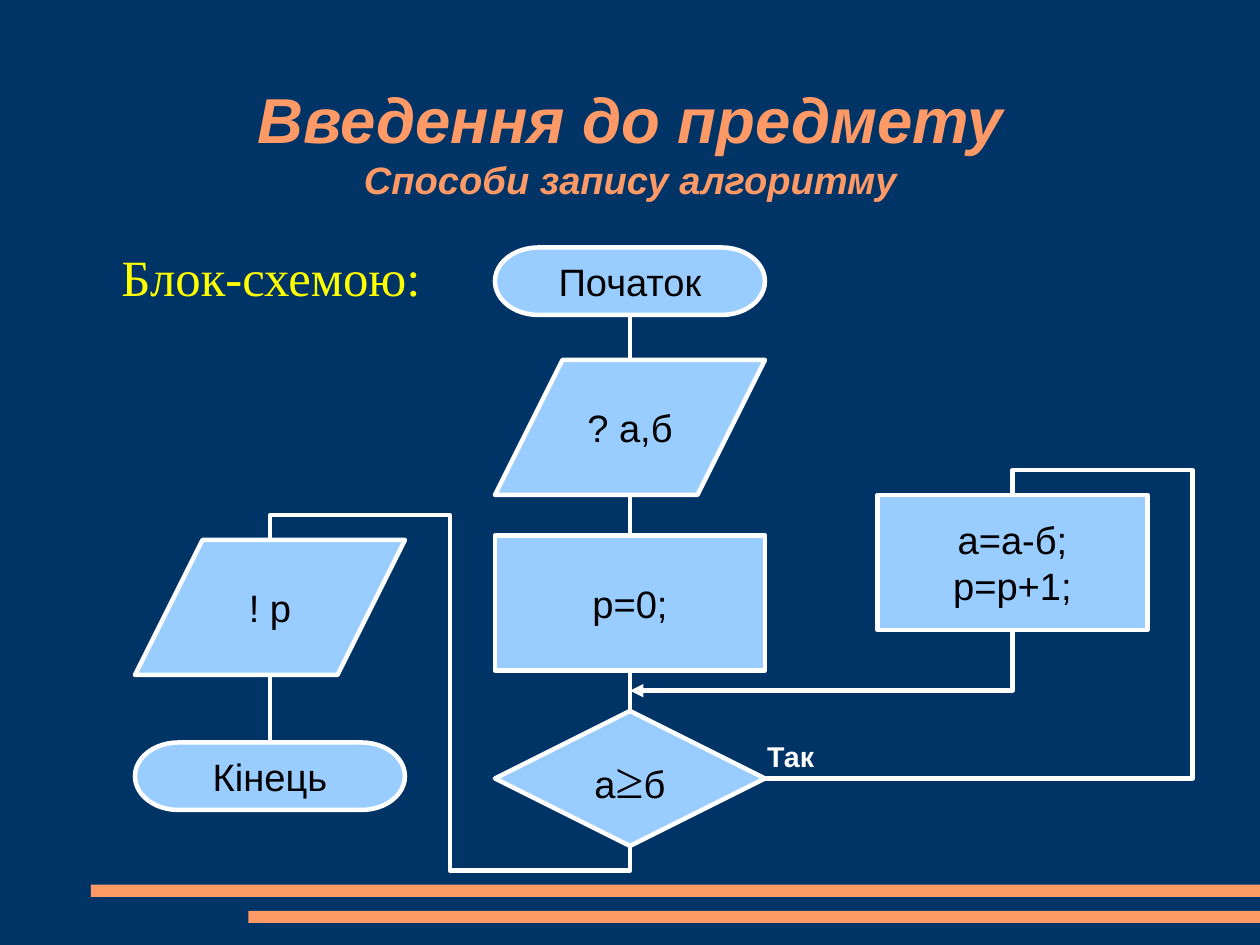
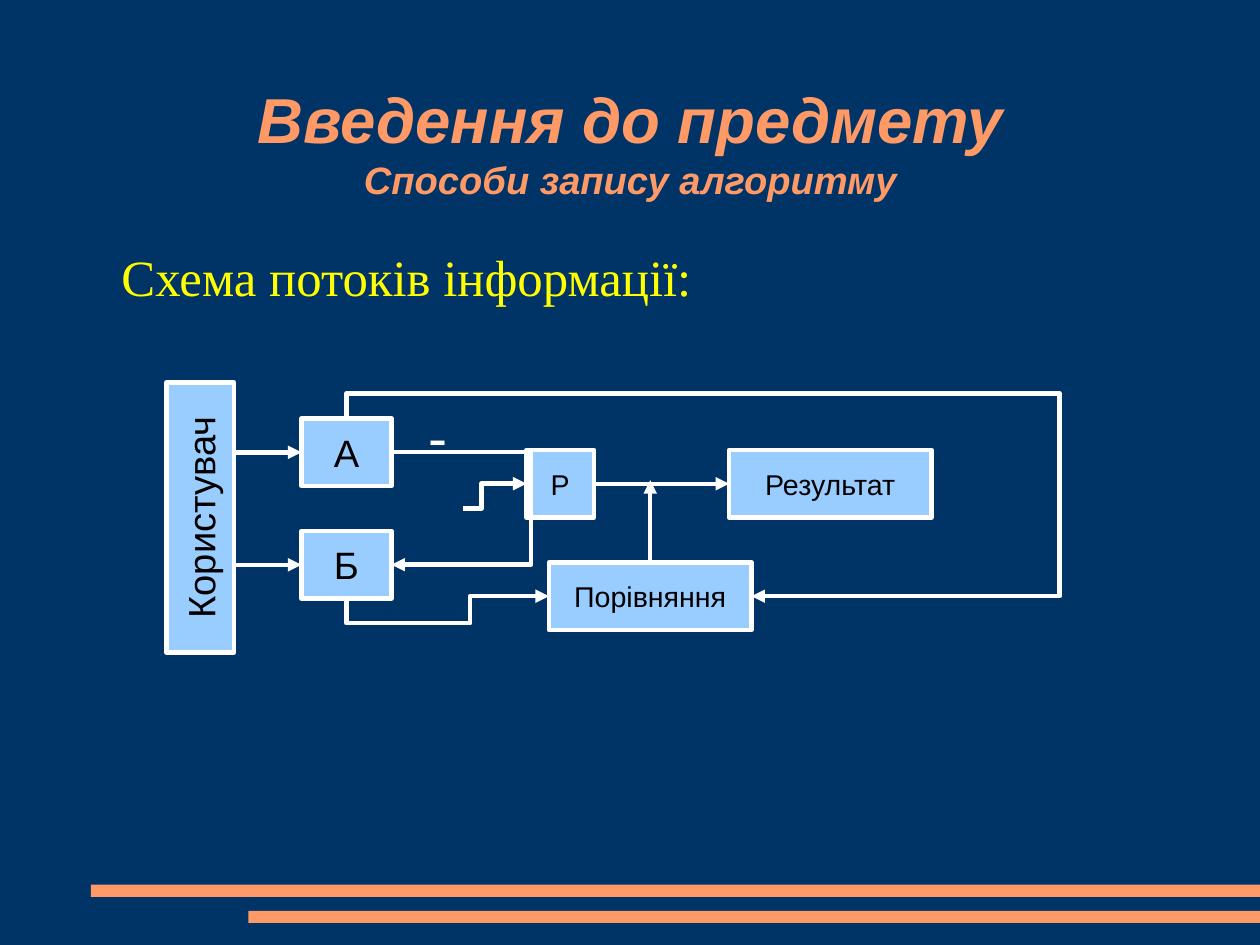
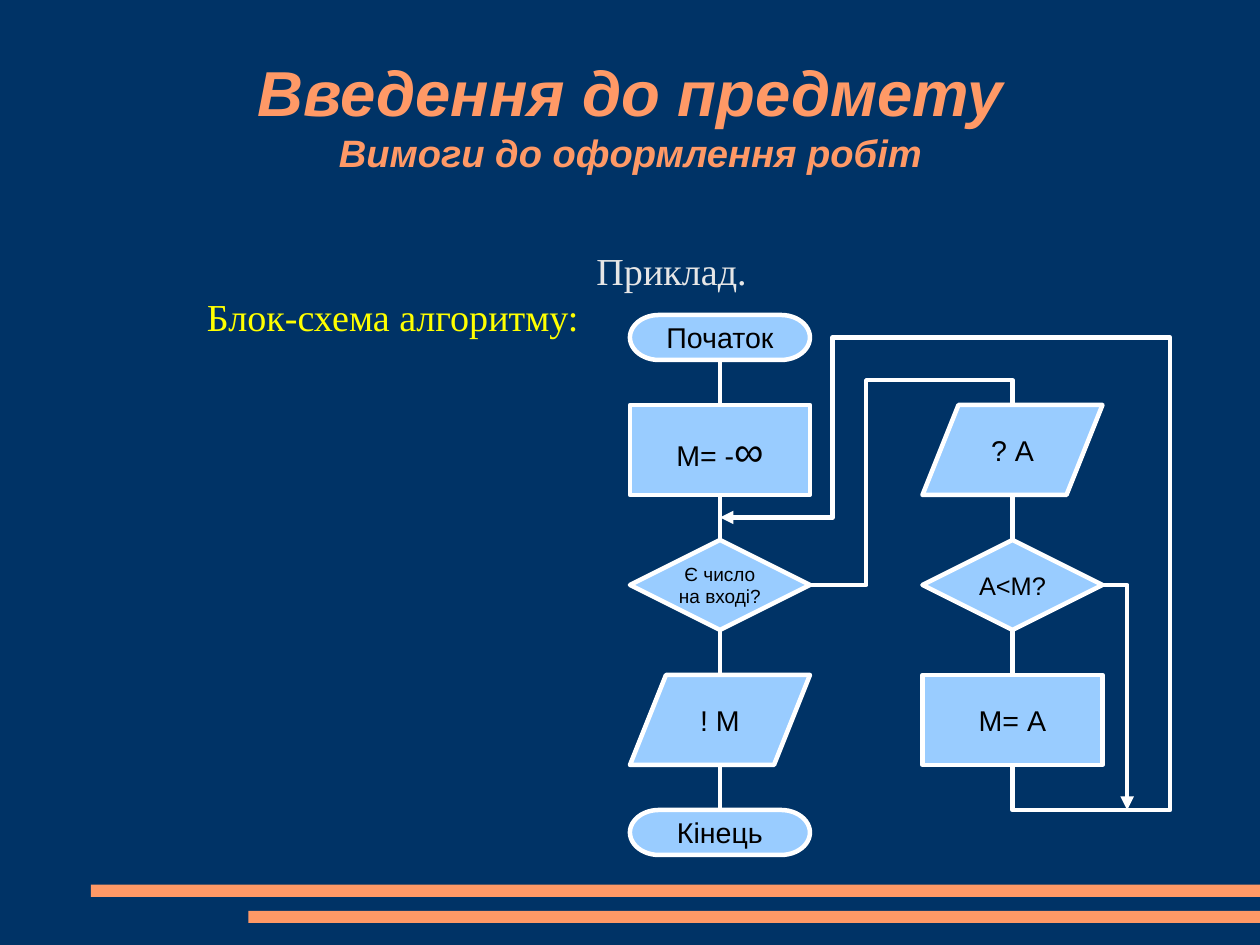
from dataclasses import dataclass
from typing import NamedTuple

from lxml import etree
from pptx import Presentation
from pptx.dml.color import RGBColor
from pptx.enum.shapes import MSO_CONNECTOR, MSO_SHAPE
from pptx.enum.text import MSO_ANCHOR, PP_ALIGN
from pptx.oxml.ns import qn
from pptx.util import Cm, Pt

# Grid: 28 columns by 21 rows, one centimetre each
COLS, ROWS = 28, 21

RECT = MSO_SHAPE.RECTANGLE
PILL = MSO_SHAPE.FLOWCHART_TERMINATOR
SLANT = MSO_SHAPE.PARALLELOGRAM
DATA = MSO_SHAPE.FLOWCHART_DATA
RHOMB = MSO_SHAPE.DIAMOND
LINE = MSO_CONNECTOR.STRAIGHT
LEFT, MID = PP_ALIGN.LEFT, PP_ALIGN.CENTER
TOP, CENTER = MSO_ANCHOR.TOP, MSO_ANCHOR.MIDDLE
UP, WEST, DOWN, EAST = range(4)
SIDED = (RECT, PILL, RHOMB)

NAVY, CORAL, SKY = "003366", "FF9966", "99CCFF"
WHITE, BLACK, YELLOW, PALE = "FFFFFF", "000000", "FFFF00", "E6E6E6"
SANS, SERIF = "Arial", "Times New Roman"
STROKE = 2.83


class Run(NamedTuple):
    text: str
    size: float
    font: str = SANS
    tint: str = BLACK
    bold: bool = False
    slope: bool = False


class Area(NamedTuple):
    col: float
    row: float
    wide: float
    high: float


@dataclass
class Box:
    kind: MSO_SHAPE
    area: Area
    lines: list[list[Run]]
    turn: float = 0

    def side(self, site: int) -> tuple[float, float]:
        x, y, w, h = self.area
        return ((x + w / 2, y), (x, y + h / 2),
                (x + w / 2, y + h), (x + w, y + h / 2))[site]


@dataclass
class Path:
    points: list[tuple[float, float]]
    arrow: bool = False


def rgb(code: str) -> RGBColor:
    return RGBColor.from_string(code)


def place(area: Area) -> list[int]:
    return [Cm(v) for v in area]


def write(frame, lines: list[list[Run]], align=LEFT, anchor=TOP,
          pad: tuple[float, float] = (0, 0), wrap: bool = True) -> None:
    frame.word_wrap = wrap
    frame.vertical_anchor = anchor
    frame.margin_left = frame.margin_right = Cm(pad[0])
    frame.margin_top = frame.margin_bottom = Cm(pad[1])
    for i, runs in enumerate(lines):
        para = frame.paragraphs[0] if i == 0 else frame.add_paragraph()
        para.alignment = align
        for item in runs:
            if item.text == "\n":
                para.add_line_break()
                continue
            run = para.add_run()
            run.text = item.text
            font = run.font
            font.size, font.name = Pt(item.size), item.font
            font.bold, font.italic = item.bold, item.slope
            font.color.rgb = rgb(item.tint)


def label(slide, area: Area, lines: list[list[Run]], **style):
    box = slide.shapes.add_textbox(*place(area))
    write(box.text_frame, lines, **style)
    return box


def draw(slide, box: Box):
    shape = slide.shapes.add_shape(box.kind, *place(box.area))
    shape.shadow.inherit = False
    shape.rotation = box.turn
    if box.kind == SLANT:
        shape.adjustments[0] = 0.5
    shape.fill.solid()
    shape.fill.fore_color.rgb = rgb(SKY)
    ink(shape)
    write(shape.text_frame, box.lines, MID, CENTER, (0.3, 0.18), False)
    return shape


def ink(shape, arrow: bool = False) -> None:
    shape.line.color.rgb = rgb(WHITE)
    shape.line.width = Pt(STROKE)
    if arrow:
        edge = shape.element.spPr.find(qn("a:ln"))
        etree.SubElement(edge, qn("a:tailEnd"), type="triangle")


def wire(slide, start: tuple[float, float], end: tuple[float, float],
         arrow: bool = False):
    line = slide.shapes.add_connector(
        LINE, *(Cm(v) for v in (*start, *end)))
    ink(line, arrow)
    etree.SubElement(line.element.spPr, qn("a:effectLst"))
    return line


def link(slide, boxes: dict[str, Box], shapes: dict, head: str, tail: str,
         out: int = DOWN, into: int = UP, arrow: bool = False) -> None:
    a, b = boxes[head], boxes[tail]
    line = wire(slide, a.side(out), b.side(into), arrow)
    if a.kind in SIDED:
        line.begin_connect(shapes[head], out)
    if b.kind in SIDED:
        line.end_connect(shapes[tail], into)


def trace(slide, path: Path) -> None:
    spots = [(Cm(x), Cm(y)) for x, y in path.points]
    pen = slide.shapes.build_freeform(*spots[0], scale=1.0)
    pen.add_line_segments(spots[1:], close=False)
    bend = pen.convert_to_shape()
    bend.shadow.inherit = False
    bend.fill.background()
    ink(bend, path.arrow)


def base(deck, topic: str, high: float):
    """Add a slide with the shared background, bands and title."""
    slide = deck.slides.add_slide(deck.slide_layouts[6])
    slide.background.fill.solid()
    slide.background.fill.fore_color.rgb = rgb(NAVY)
    for col, row in ((2.02, 19.66), (5.52, 20.24)):
        band = slide.shapes.add_shape(
            RECT, *place(Area(col, row, COLS - col, 0.27)))
        band.shadow.inherit = False
        band.fill.solid()
        band.fill.fore_color.rgb = rgb(CORAL)
        band.line.fill.background()
    heads = [Run("Введення до предмету", 40, SANS, CORAL, True, True),
             Run("\n", 40),
             Run(topic, 24, SANS, CORAL, True, True)]
    label(slide, Area(2.06, 0.78, 23.9, high), [heads],
          align=MID, anchor=CENTER)
    return slide


def lead(slide, text: str) -> None:
    label(slide, Area(2.7, 5.45, 23.7, 1.6),
          [[Run(text, 32, SERIF, YELLOW)]])


def chart(slide, boxes: dict[str, Box], paths: list[Path]) -> dict:
    shapes = {name: draw(slide, box) for name, box in boxes.items()}
    for path in paths:
        trace(slide, path)
    return shapes


def chain(slide, boxes: dict[str, Box], shapes: dict, *names: str) -> None:
    for head, tail in zip(names, names[1:]):
        link(slide, boxes, shapes, head, tail)


def one(text: str, size: float) -> list[list[Run]]:
    return [[Run(part, size)] for part in text.split("\n")]


def division(deck) -> None:
    """Flowchart of division by subtraction."""
    slide = base(deck, "Способи запису алгоритму", 4.72)
    lead(slide, "Блок-схемою:")
    wide, tall, low = 6, 3, 1.5
    left, main, right = 3, 11, 19.5
    test = [[Run("а", 24), Run("≥", 32, SERIF), Run("б", 24)]]
    boxes = {
        "start": Box(PILL, Area(main, 5.5, wide, low), one("Початок", 24)),
        "read": Box(SLANT, Area(main, 8, wide, tall), one("? а,б", 24)),
        "zero": Box(RECT, Area(main, 11.9, wide, tall), one("р=0;", 24)),
        "test": Box(RHOMB, Area(main, 15.8, wide, tall), test),
        "print": Box(SLANT, Area(left, 12, wide, tall), one("! р", 24)),
        "end": Box(PILL, Area(left, 16.5, wide, low), one("Кінець", 24)),
        "step": Box(RECT, Area(right, 11, wide, tall),
                    one("а=а-б;\nр=р+1;", 24)),
    }
    paths = [
        Path([(14, 18.8), (14, 19.35), (10, 19.35), (10, 11.45),
              (6, 11.45), (6, 12)]),
        Path([(17, 17.3), (26.5, 17.3), (26.5, 10.45), (22.5, 10.45),
              (22.5, 11)]),
        Path([(22.5, 14), (22.5, 15.35), (14, 15.35)], True),
    ]
    shapes = chart(slide, boxes, paths)
    chain(slide, boxes, shapes, "start", "read", "zero", "test")
    chain(slide, boxes, shapes, "print", "end")
    label(slide, Area(16.8, 16.3, 1.55, 1),
          [[Run("Так", 18, SANS, WHITE, True)]],
          pad=(0.25, 0.13), wrap=False)


def flows(deck) -> None:
    """Diagram of information flows."""
    slide = base(deck, "Способи запису алгоритму", 4.72)
    lead(slide, "Схема потоків інформації:")
    high = 1.5
    boxes = {
        "a": Box(RECT, Area(6.7, 9.3, 2, high), one("А", 24)),
        "b": Box(RECT, Area(6.7, 11.8, 2, high), one("Б", 24)),
        "user": Box(RECT, Area(1.45, 10.75, 6, high),
                    one("Користувач", 24), 270),
        "match": Box(RECT, Area(12.2, 12.5, 4.5, high),
                     one("Порівняння", 18)),
        "count": Box(RECT, Area(11.7, 10, high, high), one("Р", 18)),
        "result": Box(RECT, Area(16.2, 10, 4.5, high),
                      one("Результат", 18)),
    }
    paths = [
        Path([(8.7, 10.05), (11.8, 10.05), (11.8, 12.55), (8.7, 12.55)],
             True),
        Path([(10.3, 11.3), (10.7, 11.3), (10.7, 10.75), (11.7, 10.75)],
             True),
        Path([(7.7, 13.3), (7.7, 13.85), (10.45, 13.85), (10.45, 13.25),
              (12.2, 13.25)], True),
        Path([(7.7, 9.3), (7.7, 8.75), (23.55, 8.75), (23.55, 13.25),
              (16.7, 13.25)], True),
    ]
    shapes = chart(slide, boxes, paths)
    for name in ("a", "b"):
        x, y = boxes[name].side(WEST)
        line = wire(slide, (x - 1.5, y), (x, y), True)
        line.end_connect(shapes[name], WEST)
    link(slide, boxes, shapes, "count", "result", EAST, WEST, True)
    x, y = boxes["match"].side(UP)
    rise = wire(slide, (x, y), (x, 10.67), True)
    rise.begin_connect(shapes["match"], UP)
    label(slide, Area(9.28, 8.8, 0.9, 1.7), [[Run("-", 36, SANS, WHITE)]],
          pad=(0.25, 0.13), wrap=False)


def sample(deck) -> None:
    """Sample flowchart with a loop over the input."""
    slide = base(deck, "Вимоги до оформлення робіт", 3.5)
    body = label(slide, Area(3.35, 5.5, 23.15, 2.2),
                 [[Run("Приклад.", 24, SERIF, PALE)],
                  [Run("Блок-схема алгоритму:", 24, SERIF, YELLOW)]])
    first, second = body.text_frame.paragraphs
    first.alignment = MID
    second._p.get_or_add_pPr().set("marL", str(Cm(1.25)))

    wide, tall, low = 4, 2, 1
    main, side = 14, 20.5
    rows = [9 + 3 * i for i in range(4)]
    boxes = {
        "start": Box(PILL, Area(main, 7, wide, low), one("Початок", 18)),
        "init": Box(RECT, Area(main, rows[0], wide, tall),
                    [[Run("М= -", 18), Run("∞", 26)]]),
        # Small enough for both lines to stay within the diamond
        "more": Box(RHOMB, Area(main, rows[1], wide, tall),
                    one("Є число\nна вході?", 12)),
        "read": Box(DATA, Area(side, rows[0], wide, tall), one("? А", 18)),
        "test": Box(RHOMB, Area(side, rows[1], wide, tall),
                    one("А<М?", 16)),
        "keep": Box(RECT, Area(side, rows[2], wide, tall), one("М= А", 18)),
        "print": Box(DATA, Area(main, rows[2], wide, tall), one("! М", 18)),
        "end": Box(PILL, Area(main, rows[3], wide, low), one("Кінець", 18)),
    }
    paths = [
        Path([(18, 13), (19.25, 13), (19.25, 8.45), (22.5, 8.45),
              (22.5, 9)]),
        Path([(22.5, 17), (22.5, 18), (26, 18), (26, 7.5), (18.5, 7.5),
              (18.5, 11.5), (16, 11.5)], True),
        Path([(24.5, 13), (25.05, 13), (25.05, 18)], True),
    ]
    shapes = chart(slide, boxes, paths)
    chain(slide, boxes, shapes, "start", "init", "more", "print", "end")
    chain(slide, boxes, shapes, "read", "test", "keep")


def main() -> None:
    deck = Presentation()
    deck.slide_width, deck.slide_height = Cm(COLS), Cm(ROWS)
    for build in (division, flows, sample):
        build(deck)
    deck.save("out.pptx")


if __name__ == "__main__":
    main()
